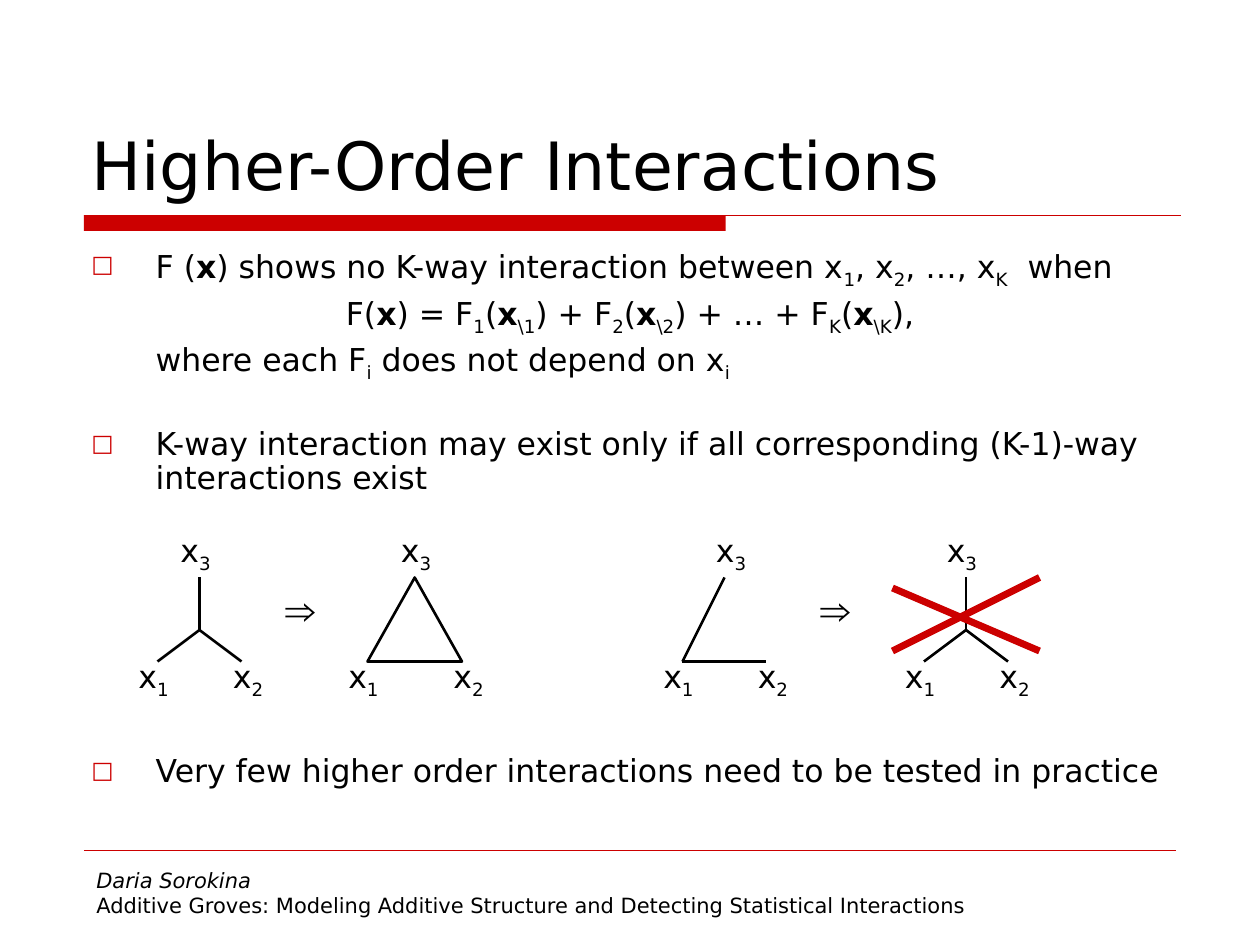
from dataclasses import dataclass

from lxml import etree
from pptx import Presentation
from pptx.dml.color import RGBColor
from pptx.enum.shapes import MSO_CONNECTOR, MSO_SHAPE
from pptx.enum.text import MSO_ANCHOR, MSO_AUTO_SIZE, PP_ALIGN
from pptx.oxml.ns import qn
from pptx.util import Emu, Pt

STRAIGHT = MSO_CONNECTOR.STRAIGHT
TRIANGLE, RECTANGLE = MSO_SHAPE.ISOSCELES_TRIANGLE, MSO_SHAPE.RECTANGLE
LEFT, CENTER = PP_ALIGN.LEFT, PP_ALIGN.CENTER
EMU_PER_PX = 9525  # 96 px to the inch


@dataclass(frozen=True)
class Theme:
    ink: str = "000000"
    accent: str = "CC0000"
    font: str = "DejaVu Sans"
    symbol_font: str = "Arial"
    title_size: int = 38
    text_size: int = 18
    arrow_size: int = 24
    footer_size: int = 12
    edge_width: float = 1.5
    cross_width: float = 4
    rule_width: float = 0.75
    footer_rule_width: float = 0.25


@dataclass(frozen=True)
class BodyItem:
    markup: str
    space_before: float = 4.5
    bullet: bool = False
    align: int = LEFT
    first_indent: int = 0


@dataclass(frozen=True)
class Graph:
    """Node label positions (left) and edges of one interaction graph."""
    label_lefts: tuple  # x1, x2, x3
    edges: tuple = ()


THEME = Theme()
INDENT = 49
LABEL_TOPS = (496, 496, 400)  # x1, x2, x3


# Segments are parted by "|"; a leading * makes bold, a leading _ a subscript.
BODY = (
    BodyItem("F (|*x|) shows no K-way interaction between x|_1|, x|_2|, …, x|_K|  when",
             space_before=0, bullet=True, first_indent=-INDENT),
    BodyItem("F(|*x|) = F|_1|(|*x|_\\1|) + F|_2|(|*x|_\\2|) + … + F|_K|(|*x|_\\K|),",
             align=CENTER, first_indent=-INDENT),
    BodyItem("where each F|_i| does not depend on x|_i"),
    BodyItem("K-way interaction may exist only if all corresponding (K-1)-way interactions exist",
             space_before=28, bullet=True, first_indent=-INDENT),
    BodyItem("Very few higher order interactions need to be tested in practice",
             space_before=148, bullet=True, first_indent=-INDENT),
)


def star_edges(center: int) -> tuple:
    return tuple((center, 480, x, y)
                 for x, y in ((center, 440), (center - 32, 504), (center + 32, 504)))


GRAPHS = (
    Graph((96, 168, 128), star_edges(152)),
    Graph((256, 336, 296)),
    Graph((496, 568, 536), ((552, 440, 520, 504), (520, 504, 584, 504))),
    Graph((680, 752, 712), star_edges(736)),
)
CROSS = ((792, 440, 680, 496), (680, 448, 792, 496))
ARROW_LEFTS = (208, 616)


def px(length: int) -> Emu:
    return Emu(length * EMU_PER_PX)


def color(value: str) -> RGBColor:
    return RGBColor.from_string(value)


def place(shape, left: int, top: int, width: int, height: int) -> None:
    shape.left, shape.top = px(left), px(top)
    shape.width, shape.height = px(width), px(height)


def write(para, markup: str, size: int, font: str = THEME.font) -> None:
    for segment in markup.split("|"):
        mark = segment[0] if segment[0] in "*_" else ""
        span = para.add_run()
        span.text = segment[len(mark):]
        span.font.name, span.font.size = font, Pt(size)
        span.font.color.rgb = color(THEME.ink)
        if mark == "*":
            span.font.bold = True
        elif mark == "_":
            span._r.get_or_add_rPr().set("baseline", "-25000")


def set_bullet(para, shown: bool, first_indent: int) -> None:
    properties = para._p.get_or_add_pPr()
    properties.set("marL", str(px(INDENT)))
    properties.set("indent", str(px(first_indent)))
    if not shown:
        etree.SubElement(properties, qn("a:buNone"))
        return
    bullet_color = etree.SubElement(properties, qn("a:buClr"))
    etree.SubElement(bullet_color, qn("a:srgbClr"), val=THEME.accent)
    etree.SubElement(properties, qn("a:buSzPct"), val="75000")
    etree.SubElement(properties, qn("a:buFont"), typeface=THEME.font)
    etree.SubElement(properties, qn("a:buChar"), char="□")


def draw_line(page, ends: tuple, value: str, width: float) -> None:
    line = page.shapes.add_connector(STRAIGHT, *map(px, ends))
    line.line.color.rgb = color(value)
    line.line.width = Pt(width)
    etree.SubElement(line._element.spPr, qn("a:effectLst"))


def add_text(page, area: tuple, markup: str, size: int, font: str = THEME.font):
    box = page.shapes.add_textbox(*map(px, area))
    box.text_frame.word_wrap = True
    write(box.text_frame.paragraphs[0], markup, size, font)
    return box.text_frame


def draw_graph(page, graph: Graph) -> None:
    for edge in graph.edges:
        draw_line(page, edge, THEME.ink, THEME.edge_width)
    for number, (left, top) in enumerate(zip(graph.label_lefts, LABEL_TOPS), start=1):
        add_text(page, (left, top, 48, 42), f"x|_{number}", THEME.text_size)


def main() -> None:
    deck = Presentation()
    deck.slide_width, deck.slide_height = px(960), px(720)
    page = deck.slides.add_slide(deck.slide_layouts[1])

    # Title with its red bar and rule
    title = page.shapes.title
    place(title, 60, 32, 840, 128)
    title.text_frame.vertical_anchor = MSO_ANCHOR.BOTTOM
    title.text_frame.auto_size = MSO_AUTO_SIZE.NONE
    heading = title.text_frame.paragraphs[0]
    heading.alignment = LEFT
    write(heading, "Higher-Order Interactions", THEME.title_size)

    bar = page.shapes.add_shape(RECTANGLE, px(64), px(164), px(489), px(12))
    bar.shadow.inherit = False
    bar.fill.solid()
    bar.fill.fore_color.rgb = color(THEME.accent)
    bar.line.fill.background()
    draw_line(page, (64, 164, 900, 164), THEME.accent, THEME.rule_width)

    # Body list
    body = page.placeholders[1]
    place(body, 60, 184, 840, 448)
    frame = body.text_frame
    frame.auto_size = MSO_AUTO_SIZE.NONE
    for index, item in enumerate(BODY):
        para = frame.add_paragraph() if index else frame.paragraphs[0]
        set_bullet(para, item.bullet, item.first_indent)
        para.alignment = item.align
        para.line_spacing = 0.9
        para.space_before = Pt(item.space_before)
        write(para, item.markup, THEME.text_size)

    # Interaction graphs, implication arrows and the cross
    triangle = page.shapes.add_shape(TRIANGLE, px(280), px(440), px(72), px(64))
    triangle.shadow.inherit = False
    triangle.fill.background()
    triangle.line.color.rgb = color(THEME.ink)
    triangle.line.width = Pt(THEME.edge_width)
    for graph in GRAPHS:
        draw_graph(page, graph)
    for left in ARROW_LEFTS:
        add_text(page, (left, 440, 64, 48), "⇒", THEME.arrow_size, THEME.symbol_font)
    for stroke in CROSS:
        draw_line(page, stroke, THEME.accent, THEME.cross_width)

    # Footer
    draw_line(page, (64, 648, 896, 648), THEME.accent, THEME.footer_rule_width)
    footer = add_text(page, (64, 656, 768, 50), "Daria Sorokina", THEME.footer_size)
    footer.paragraphs[0].runs[0].font.italic = True
    write(footer.add_paragraph(),
          "Additive Groves: Modeling Additive Structure and Detecting Statistical Interactions",
          THEME.footer_size)

    deck.save("out.pptx")


if __name__ == "__main__":
    main()
